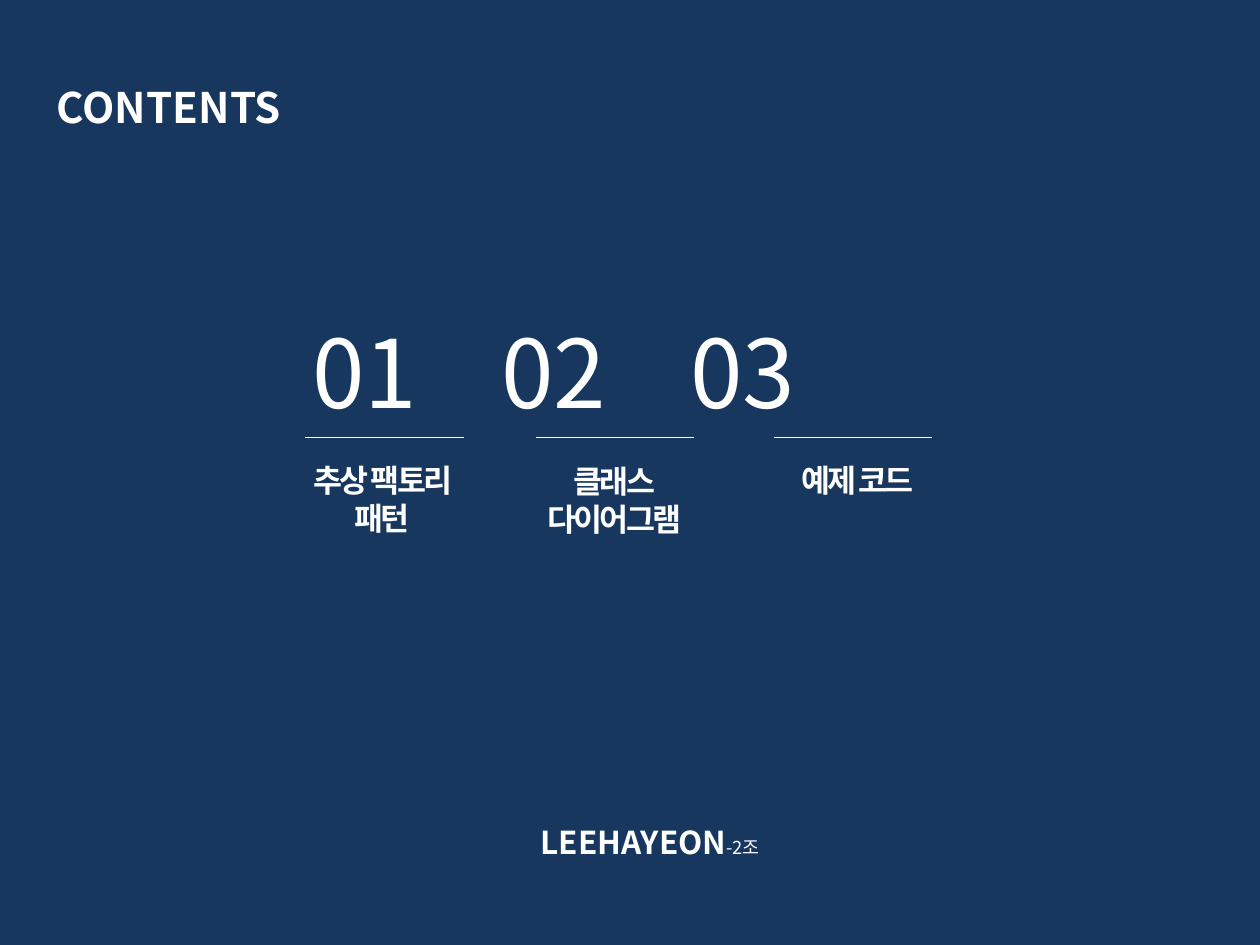
from dataclasses import dataclass

from lxml.etree import SubElement
from pptx import Presentation
from pptx.dml.color import RGBColor
from pptx.enum.shapes import MSO_CONNECTOR
from pptx.enum.text import MSO_ANCHOR, MSO_AUTO_SIZE, PP_ALIGN
from pptx.oxml.ns import qn
from pptx.util import Inches, Pt


@dataclass(frozen=True)
class Theme:
    """Colours, typeface and type sizes of the slide."""
    background: RGBColor = RGBColor(0x17, 0x37, 0x5E)
    ink: RGBColor = RGBColor(0xFF, 0xFF, 0xFF)
    typeface: str = "Noto Sans CJK KR"
    heading: float = 24
    number: float = 54
    label: float = 18
    small: float = 10.5
    rule: float = 0.75
    tight: float = -1.5


THEME = Theme()
NUMBERS = ("01", "02", "03")
NUMBER_STEP = 1.5
RULE_LEFTS = (2.42, 4.25, 6.14)
RULE_TOP, RULE_WIDTH = 3.47, 1.26
LABELS = (
    (("추상 팩토리 패턴",), (2.28, 3.61, 1.5, 0.71)),
    (("클래스", "다이어그램"), (3.83, 3.62, 2.09, 0.71)),
    (("예제 코드",), (5.9, 3.61, 1.81, 0.4)),
)


def style(paragraph, size, bold=None, align=PP_ALIGN.LEFT, spacing=None):
    """Format a whole paragraph, East Asian typeface included."""
    paragraph.alignment = align
    font = paragraph.font
    font.size, font.bold, font.name = Pt(size), bold, THEME.typeface
    font.color.rgb = THEME.ink
    properties = paragraph._p.pPr.find(qn("a:defRPr"))
    latin = properties.find(qn("a:latin"))
    east_asian = SubElement(properties, qn("a:ea"), typeface=THEME.typeface)
    latin.addnext(east_asian)
    if spacing is not None:
        properties.set("spc", str(round(spacing * 100)))


def add_text(slide, box, lines, size, **look):
    """Add a wrapping text box with one paragraph per line."""
    frame = slide.shapes.add_textbox(*map(Inches, box)).text_frame
    frame.word_wrap = True
    frame.text = "\n".join(lines)
    for paragraph in frame.paragraphs:
        style(paragraph, size, **look)
    return frame


def set_title(slide, text, box):
    """Place and format the title placeholder."""
    title = slide.shapes.title
    title.left, title.top, title.width, title.height = map(Inches, box)
    frame = title.text_frame
    frame.text = text
    frame.auto_size = MSO_AUTO_SIZE.NONE
    frame.vertical_anchor = MSO_ANCHOR.TOP
    style(frame.paragraphs[0], THEME.heading, bold=True)


def add_numbers(slide, box):
    """Set the section numbers on one line at equal tab stops."""
    frame = add_text(slide, box, ["\t".join(NUMBERS)], THEME.number)
    properties = frame.paragraphs[0]._p.pPr
    stops = SubElement(properties, qn("a:tabLst"))
    properties.find(qn("a:defRPr")).addprevious(stops)
    for index in range(1, len(NUMBERS)):
        position = Inches(NUMBER_STEP * index)
        SubElement(stops, qn("a:tab"), pos=str(position), algn="l")


def add_rule(slide, left):
    """Draw a thin horizontal rule under a number."""
    rule = slide.shapes.add_connector(
        MSO_CONNECTOR.STRAIGHT, Inches(left), Inches(RULE_TOP),
        Inches(left + RULE_WIDTH), Inches(RULE_TOP))
    rule.line.color.rgb = THEME.ink
    rule.line.width = Pt(THEME.rule)
    SubElement(rule._element.spPr, qn("a:effectLst"))


def add_footer(slide, author, team, box):
    """Write the author in bold, followed by the team in small type."""
    frame = add_text(slide, box, [author], THEME.label, align=PP_ALIGN.CENTER)
    paragraph = frame.paragraphs[0]
    paragraph.runs[0].font.bold = True
    team_run = paragraph.add_run()
    team_run.text = team
    team_run.font.size = Pt(THEME.small)


def main():
    """Build the contents slide."""
    deck = Presentation()
    deck.slide_width, deck.slide_height = Inches(10), Inches(7.5)
    slide = deck.slides.add_slide(deck.slide_layouts.get_by_name("Title Only"))
    slide.background.fill.solid()
    slide.background.fill.fore_color.rgb = THEME.background

    set_title(slide, "CONTENTS", (0.35, 0.6, 4.57, 0.5))
    add_numbers(slide, (2.38, 2.44, 7.62, 1.01))
    for left in RULE_LEFTS:
        add_rule(slide, left)
    for lines, box in LABELS:
        add_text(slide, box, lines, THEME.label, bold=True,
                 align=PP_ALIGN.CENTER, spacing=THEME.tight)
    add_footer(slide, "LEEHAYEON", "-2조", (3.19, 6.48, 3.94, 0.4))
    deck.save("out.pptx")


main()
